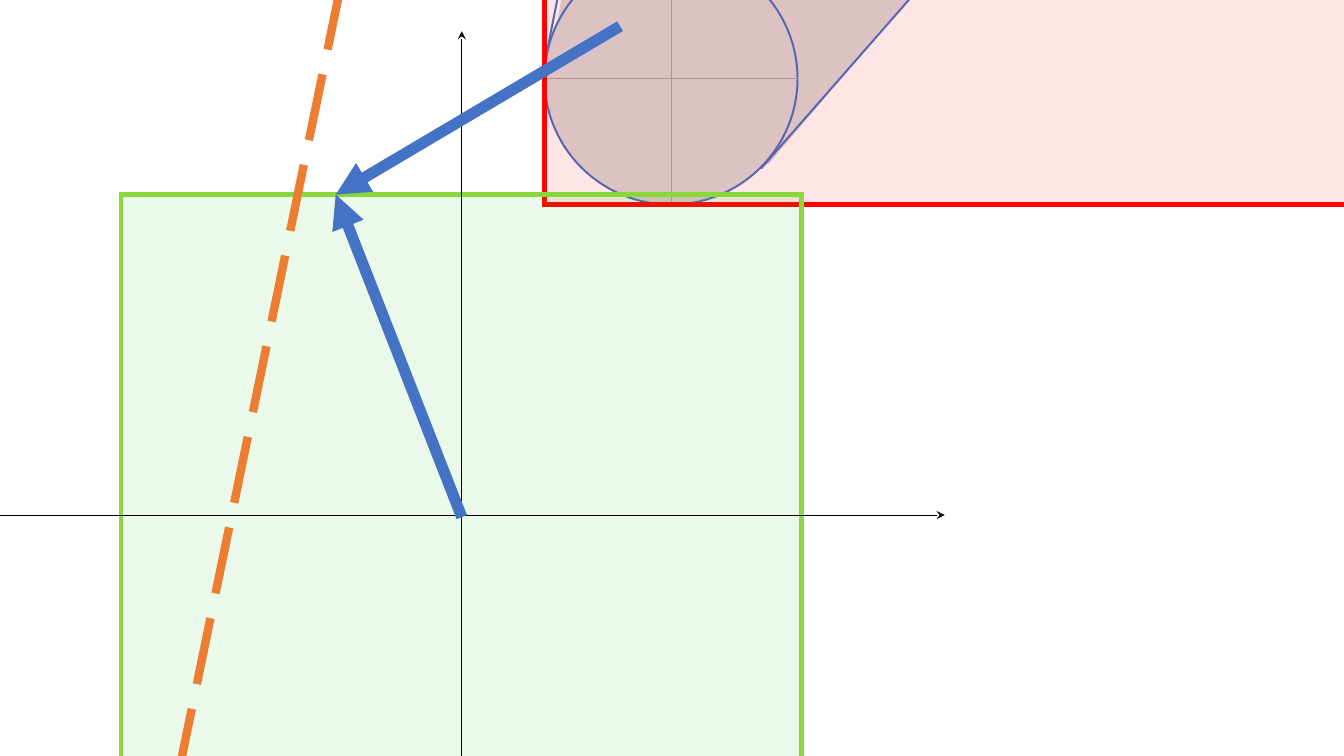
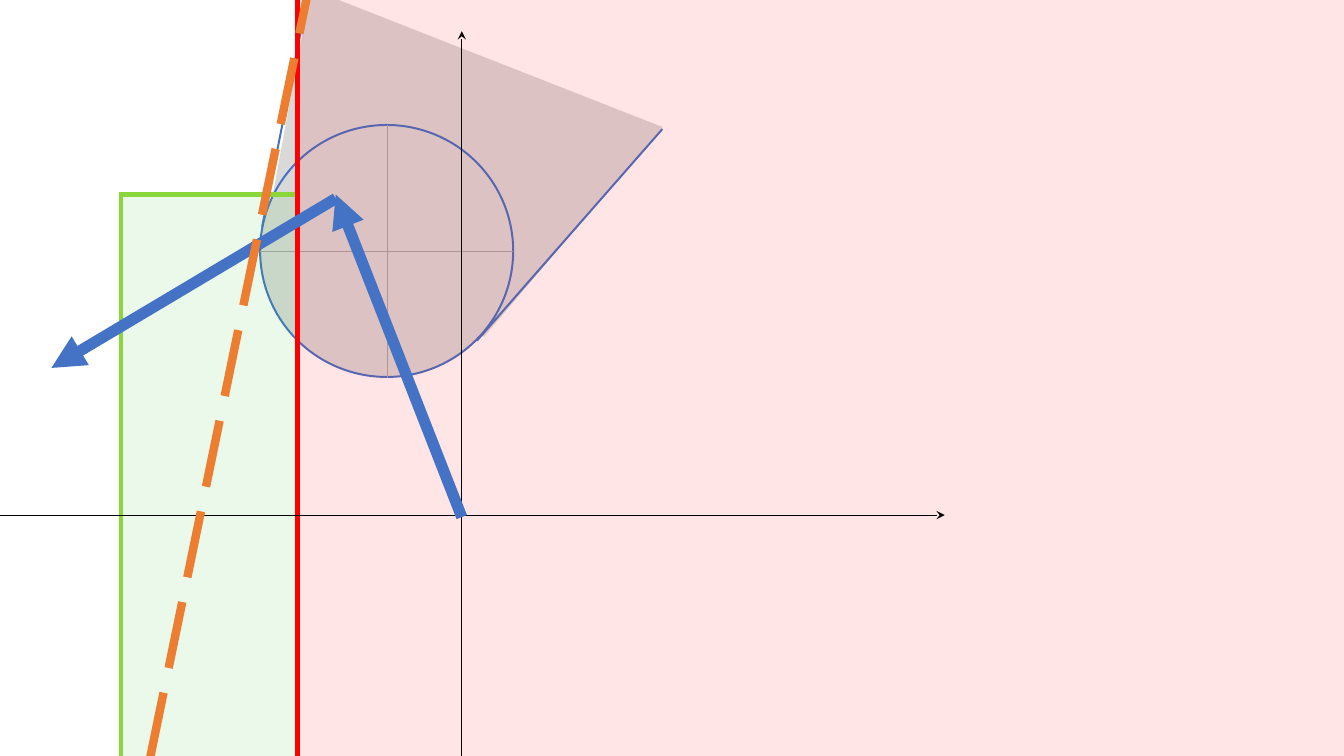
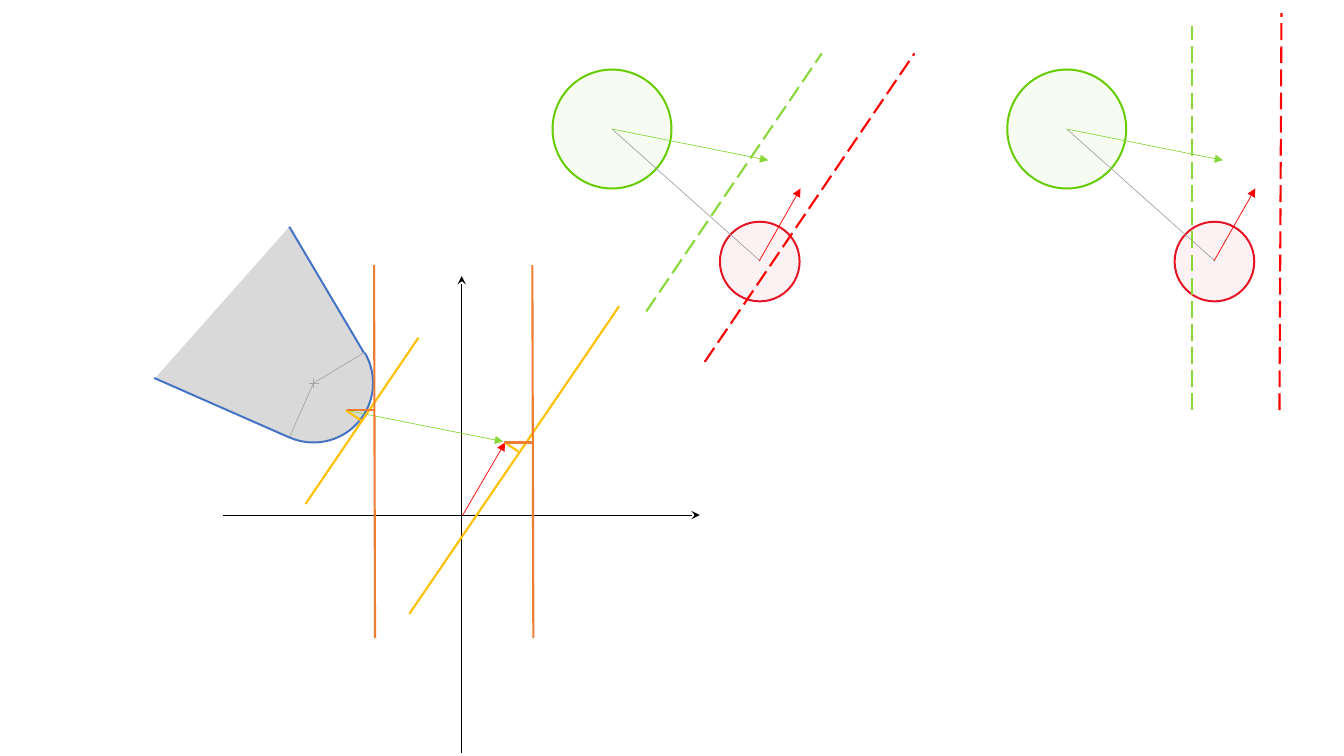
import dataclasses
import typing

import lxml.etree
import pptx
import pptx.dml.color
import pptx.enum.dml
import pptx.enum.shapes
import pptx.oxml.ns
import pptx.util

Inches = pptx.util.Inches
qn = pptx.oxml.ns.qn
SHAPE = pptx.enum.shapes.MSO_SHAPE
LONG_DASH = pptx.enum.dml.MSO_LINE.LONG_DASH
Point = tuple[float, float]

COLOURS = {
    "axis": "000000",
    "blue": "4472C4",
    "orange": "ED7D31",
    "yellow": "FFC000",
    "red": "FF0000",
    "lime": "89D73A",
    "green area": "33CC33",
    "green disc": "66CC00",
    "red disc": "E71224",
    "grey area": "D9D9D9",
    "grey": "A5A5A5",
}


@dataclasses.dataclass(frozen=True)
class Stroke:
    colour: str
    width: float
    dash: typing.Any = None
    arrow: str = ""


@dataclasses.dataclass(frozen=True)
class Fill:
    colour: str
    opacity: int = 100


@dataclasses.dataclass(frozen=True)
class Segment:
    start: Point
    end: Point
    stroke: Stroke


# Line styles
AXIS = Stroke("axis", 0.5, arrow="stealth")
OUTLINE = Stroke("blue", 1.42)
GUIDE = Stroke("grey", 0.5)
VELOCITY = Stroke("blue", 8, arrow="triangle")
BOUNDARY = Stroke("orange", 6, LONG_DASH)
RED_EDGE = Stroke("red", 3)
LIME_EDGE = Stroke("lime", 3)
RED_ARROW = Stroke("red", 0.5, arrow="triangle")
LIME_ARROW = Stroke("lime", 0.5, arrow="triangle")
YELLOW_LINE = Stroke("yellow", 1.5)
ORANGE_LINE = Stroke("orange", 1.5)
RED_DASH = Stroke("red", 1.5, LONG_DASH)
LIME_DASH = Stroke("lime", 1.5, LONG_DASH)

# Area styles
GREY_AREA = Fill("grey area")
GREY_TINT = Fill("grey area", 5)
RED_TINT = Fill("red", 10)
GREEN_TINT = Fill("green area", 10)


def rgb(name: str) -> pptx.dml.color.RGBColor:
    return pptx.dml.color.RGBColor.from_string(COLOURS[name])


def apply_stroke(shape: typing.Any, stroke: Stroke) -> None:
    line = shape.line
    line.color.rgb = rgb(stroke.colour)
    formats = {"width": pptx.util.Pt(stroke.width), "dash_style": stroke.dash}
    for name, value in formats.items():
        setattr(line, name, value)
    outline = shape._element.spPr.find(qn("a:ln"))
    lxml.etree.SubElement(outline, qn("a:miter"), lim="800000")
    if stroke.arrow:
        lxml.etree.SubElement(outline, qn("a:tailEnd"), type=stroke.arrow)


def apply_area(shape: typing.Any, fill: Fill, stroke: Stroke | None) -> None:
    shape.shadow.inherit = False
    shape.fill.solid()
    shape.fill.fore_color.rgb = rgb(fill.colour)
    if fill.opacity < 100:
        colour = shape._element.spPr.find(qn("a:solidFill")).find(qn("a:srgbClr"))
        lxml.etree.SubElement(colour, qn("a:alpha"), val=str(fill.opacity * 1000))
    if stroke:
        apply_stroke(shape, stroke)
    else:
        shape.line.fill.background()


def draw_segments(shapes: typing.Any, segments: list[Segment],
                  dx: float = 0, dy: float = 0) -> None:
    for segment in segments:
        (x1, y1), (x2, y2) = segment.start, segment.end
        connector = shapes.add_connector(
            pptx.enum.shapes.MSO_CONNECTOR.STRAIGHT,
            Inches(x1 + dx), Inches(y1 + dy), Inches(x2 + dx), Inches(y2 + dy))
        apply_stroke(connector, segment.stroke)
        lxml.etree.SubElement(connector._element.spPr, qn("a:effectLst"))


def draw_area(shapes: typing.Any, kind: typing.Any, left: float, top: float,
              width: float, height: float, fill: Fill,
              stroke: Stroke | None = None) -> typing.Any:
    shape = shapes.add_shape(kind, Inches(left), Inches(top), Inches(width), Inches(height))
    apply_area(shape, fill, stroke)
    return shape


def draw_polygon(shapes: typing.Any, points: list[Point], fill: Fill,
                 dx: float = 0, dy: float = 0) -> None:
    corners = [(Inches(x + dx), Inches(y + dy)) for x, y in points]
    builder = shapes.build_freeform(*corners[0], scale=1.0)
    builder.add_line_segments(corners[1:], close=True)
    apply_area(builder.convert_to_shape(), fill, None)


def draw_cone(slide: typing.Any, dx: float = 0, dy: float = 0) -> None:
    """Truncated cone with its round tip, moved by dx and dy."""
    shapes = slide.shapes.add_group_shape().shapes
    disc = (SHAPE.OVAL, 5.4 + dx, -0.47 + dy, 2.51, 2.5)
    draw_area(shapes, *disc, GREY_AREA).rotation = 17.8
    draw_polygon(shapes, [(5.9, -1.82), (9.39, -0.45), (7.62, 1.63), (5.42, 0.8)],
                 GREY_AREA, dx, dy)
    sides = [Segment((5.93, -2.04), (5.42, 0.54), OUTLINE),
             Segment((9.39, -0.43), (7.55, 1.67), OUTLINE)]
    cross = [Segment((6.66, -0.47), (6.66, 2.04), GUIDE),
             Segment((5.4, 0.78), (7.91, 0.78), GUIDE)]
    draw_segments(shapes, sides, dx, dy)
    draw_area(shapes, *disc, GREY_TINT, OUTLINE)
    draw_segments(shapes, cross, dx, dy)


def draw_velocities(slide: typing.Any, change: Segment, boundary: Segment) -> None:
    """Axes, current velocity, its change, and the dashed boundary."""
    draw_segments(slide.shapes.add_group_shape().shapes, [
        Segment((0, 5.11), (9.37, 5.11), AXIS),
        Segment((4.58, 7.5), (4.58, 0.31), AXIS),
    ])
    current = Segment((4.58, 5.13), (3.33, 1.93), VELOCITY)
    draw_segments(slide.shapes, [current, change, boundary])


def draw_agents(slide: typing.Any, dx: float = 0) -> None:
    """Two round agents with their velocities."""
    for left, top, size, colour in [(5.48, 0.69, 1.18, "green disc"),
                                    (7.14, 2.2, 0.79, "red disc")]:
        draw_area(slide.shapes, SHAPE.OVAL, left + dx, top, size, size,
                  Fill(colour, 5), Stroke(colour, 1.42))
    draw_segments(slide.shapes, [
        Segment((7.54, 2.59), (6.07, 1.28), GUIDE),
        Segment((7.53, 2.59), (7.94, 1.87), RED_ARROW),
        Segment((6.07, 1.28), (7.62, 1.59), LIME_ARROW),
    ], dx)


def build_outside_slide(slide: typing.Any) -> None:
    draw_cone(slide)
    draw_area(slide.shapes, SHAPE.RECTANGLE, 5.4, -3.02, 8.35, 5.05, RED_TINT, RED_EDGE)
    draw_area(slide.shapes, SHAPE.RECTANGLE, 1.2, 1.93, 6.75, 6.35, GREEN_TINT, LIME_EDGE)
    draw_velocities(slide, Segment((6.15, 0.26), (3.33, 1.93), VELOCITY),
                    Segment((3.94, -2.86), (1.06, 11.12), BOUNDARY))


def build_inside_slide(slide: typing.Any) -> None:
    draw_cone(slide, -2.82, 1.71)
    draw_area(slide.shapes, SHAPE.RECTANGLE, 1.2, 1.93, 1.75, 6.35, GREEN_TINT, LIME_EDGE)
    draw_area(slide.shapes, SHAPE.RECTANGLE, 2.95, -1.06, 10.63, 11.79, RED_TINT, RED_EDGE)
    draw_velocities(slide, Segment((3.33, 1.97), (0.51, 3.65), VELOCITY),
                    Segment((3.66, -3.02), (0.78, 10.96), BOUNDARY))


def build_agents_slide(slide: typing.Any) -> None:
    shapes = slide.shapes
    tip = (2.52, 3.21, 1.18, 1.18)
    centre, upper, lower = (3.11, 3.8), (3.61, 3.5), (2.87, 4.34)

    # Cone with its radii
    draw_area(shapes, SHAPE.OVAL, *tip, GREY_AREA)
    draw_polygon(shapes, [(1.54, 3.75), (2.87, 2.25), upper, lower], GREY_AREA)
    draw_segments(shapes, [Segment(lower, centre, GUIDE), Segment(centre, upper, GUIDE)])

    # Agents, then the axes
    for dx in (0, 4.51):
        draw_agents(slide, dx)
    draw_segments(shapes, [
        Segment((2.21, 5.11), (6.94, 5.11), AXIS),
        Segment((4.58, 7.47), (4.58, 2.74), AXIS),
    ])

    # Cone outline and centre mark
    arc = draw_area(shapes, SHAPE.ARC, *tip, GREY_TINT, OUTLINE)
    for index, angle in enumerate((197.74, 68.59)):
        arc.adjustments[index] = angle
    draw_segments(shapes, [
        Segment(upper, (2.87, 2.25), OUTLINE),
        Segment(lower, (1.53, 3.75), OUTLINE),
    ])
    draw_segments(shapes.add_group_shape().shapes, [
        Segment((3.11, 3.75), (3.11, 3.85), GUIDE),
        Segment((3.06, 3.8), (3.16, 3.8), GUIDE),
    ])

    # Velocities, tangents and dashed limits
    draw_segments(shapes, [
        Segment((4.59, 5.11), (5.01, 4.39), RED_ARROW),
        Segment((3.43, 4.07), (4.99, 4.38), LIME_ARROW),
        Segment((3.03, 5), (4.15, 3.35), YELLOW_LINE),
        Segment((3.58, 4.17), (3.43, 4.07), YELLOW_LINE),
        Segment((4.06, 6.09), (6.14, 3.04), YELLOW_LINE),
        Segment((5.14, 4.48), (5.01, 4.39), YELLOW_LINE),
        Segment((3.72, 6.33), (3.71, 2.63), ORANGE_LINE),
        Segment((3.71, 4.07), (3.44, 4.07), ORANGE_LINE),
        Segment((5.29, 6.33), (5.28, 2.63), ORANGE_LINE),
        Segment((5.28, 4.39), (5, 4.39), ORANGE_LINE),
        Segment((6.99, 3.59), (9.07, 0.53), RED_DASH),
        Segment((6.41, 3.09), (8.15, 0.53), LIME_DASH),
        Segment((12.69, 4.07), (12.71, 0.13), RED_DASH),
        Segment((11.82, 4.07), (11.82, 0.26), LIME_DASH),
    ])


def main() -> None:
    presentation = pptx.Presentation()
    presentation.slide_width = Inches(13.33)
    presentation.slide_height = Inches(7.5)
    blank_layout = presentation.slide_layouts[6]
    for build in (build_outside_slide, build_inside_slide, build_agents_slide):
        build(presentation.slides.add_slide(blank_layout))
    presentation.save("out.pptx")


if __name__ == "__main__":
    main()
